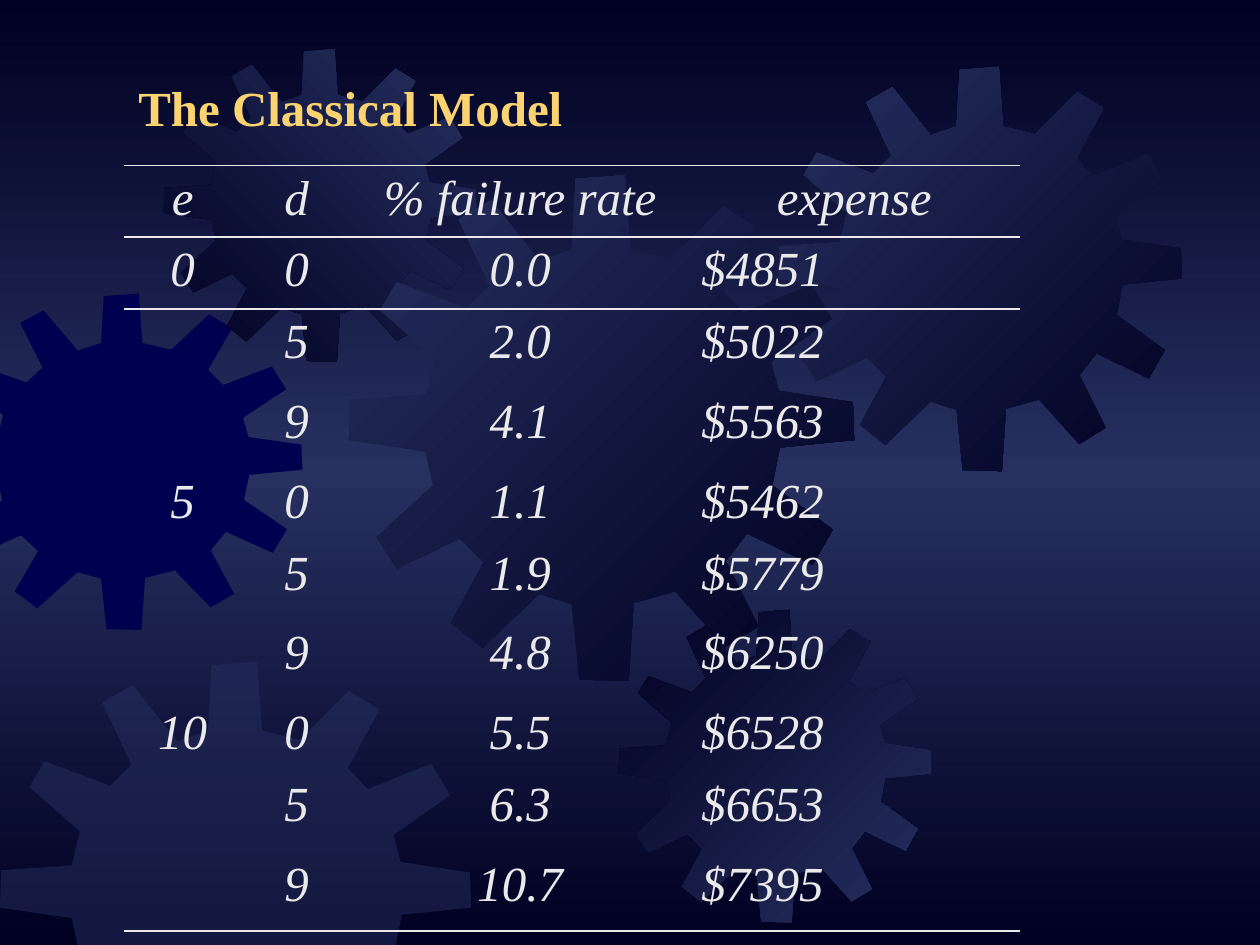
from copy import deepcopy
from lxml.etree import SubElement
from pptx import Presentation
from pptx.dml.color import RGBColor
from pptx.enum.text import PP_ALIGN
from pptx.oxml import parse_xml
from pptx.oxml.ns import nsdecls, qn
from pptx.util import Pt

THEME = {
    "night": "000022",
    "slate": "27305F",
    "navy": "000050",
    "gold": "FBD471",
    "chalk": "EAEAEA",
    "font": "Times New Roman",
    "size": 28,
}
WIDTH, HEIGHT = 720, 540
NO_GRID_STYLE = "{2D5ABB26-0587-4C30-8999-92F81FD0307C}"

GEAR_SPAN = 401
GEAR = [
    (255, 67), (223, 59), (219, 0), (180, 3), (177, 59), (151, 68), (113, 20), (87, 35),
    (112, 88), (94, 106), (38, 85), (25, 107), (68, 145), (61, 174), (1, 178), (0, 210),
    (61, 219), (67, 246), (22, 287), (38, 312), (88, 288), (107, 307), (81, 355), (106, 375),
    (151, 332), (177, 340), (183, 400), (222, 401), (226, 339), (259, 330), (299, 374), (325, 358),
    (299, 306), (316, 284), (368, 309), (384, 281), (336, 246), (342, 216), (401, 210), (400, 180),
    (341, 171), (335, 148), (383, 114), (367, 87), (313, 109), (296, 91), (323, 41), (297, 25),
]


def clip(points, axis, limit, side):
    kept = []
    for start, end in zip(points, points[1:] + points[:1]):
        before, after = side * (start[axis] - limit), side * (end[axis] - limit)
        if before >= 0:
            kept.append(start)
        if before * after < 0:
            share = before / (before - after)
            kept.append(tuple(a + share * (b - a) for a, b in zip(start, end)))
    return kept


def write(para, text, color, **style):
    span = para.add_run()
    span.text = text
    formats = {"name": THEME["font"], "size": Pt(THEME["size"]), **style}
    for name, value in formats.items():
        setattr(span.font, name, value)
    span.font.color.rgb = RGBColor.from_string(THEME[color])


deck = Presentation()
deck.slide_width, deck.slide_height = Pt(WIDTH), Pt(HEIGHT)
page = deck.slides.add_slide(deck.slide_layouts[6])

backdrop = page.background.fill
backdrop.gradient()
backdrop.gradient_angle = 270
stop_list = page.element.xpath(".//a:gsLst")[0]
stop_list.append(deepcopy(stop_list[0]))
for stop, position, color in zip(backdrop.gradient_stops, (0, 0.5, 1), ("night", "slate", "night")):
    stop.position = position
    stop.color.rgb = RGBColor.from_string(THEME[color])

gears = [
    (-33.1, 167.8, 205.9, 192.2, ("navy",), None),
    (93.6, 28.1, 178.6, 178.6, ("night", "slate"), 45),
    (199.4, 100.1, 288.7, 289, ("slate", "night"), 315),
    (0, 378, 269.3, 268.6, ("slate",), 50),
    (353.5, 348.5, 178.6, 178.6, ("night", "slate"), 315),
    (445, 38.2, 230.4, 231, ("slate", "night"), 315),
]
for left, top, width, height, colors, setting in gears:
    outline = [(left + x * width / GEAR_SPAN, top + y * height / GEAR_SPAN) for x, y in GEAR]
    outline = clip(clip(outline, 0, 0, 1), 1, HEIGHT, -1)
    corners = [(Pt(x), Pt(y)) for x, y in outline]
    builder = page.shapes.build_freeform(*corners[0])
    builder.add_line_segments(corners[1:], close=True)
    gear = builder.convert_to_shape()
    gear.shadow.inherit = False
    gear.line.fill.background()
    if len(colors) == 1:
        gear.fill.solid()
        gear.fill.fore_color.rgb = RGBColor.from_string(THEME[colors[0]])
        if setting:
            paint = gear.element.xpath("./p:spPr/a:solidFill/a:srgbClr")[0]
            SubElement(paint, qn("a:alpha")).set("val", str(setting * 1000))
    else:
        gear.fill.gradient()
        gear.fill.gradient_angle = setting
        for stop, position, color in zip(gear.fill.gradient_stops, (0, 1), colors):
            stop.position = position
            stop.color.rgb = RGBColor.from_string(THEME[color])

title = page.shapes.add_textbox(Pt(64.8), Pt(37.4), Pt(385.2), Pt(41))
frame_format = {
    "word_wrap": True,
    "margin_left": Pt(14.2),
    "margin_right": Pt(7.2),
    "margin_top": Pt(7.2),
    "margin_bottom": Pt(0),
}
for name, value in frame_format.items():
    setattr(title.text_frame, name, value)
write(title.text_frame.paragraphs[0], "The Classical Model", "gold", bold=True)

rows = [
    ("e", "d", "% failure rate", "expense"),
    ("0", "0", "0.0", "$4851"),
    ("", "5", "2.0", "$5022"),
    ("", "9", "4.1", "$5563"),
    ("5", "0", "1.1", "$5462"),
    ("", "5", "1.9", "$5779"),
    ("", "9", "4.8", "$6250"),
    ("10", "0", "5.5", "$6528"),
    ("", "5", "6.3", "$6653"),
    ("", "9", "10.7", "$7395"),
]
column_widths = [67.5, 62.8, 192.7, 189.2]
row_heights = [41.1 if row[0] else 45.6 for row in rows]
rules = {0: {"lnT": 0.45, "lnB": 1.08}, 1: {"lnT": 1.08}, len(rows) - 1: {"lnB": 1.08}}

graphic = page.shapes.add_table(
    len(rows), len(column_widths), Pt(70.6), Pt(94.3), Pt(sum(column_widths)), Pt(sum(row_heights))
)
graphic.element.xpath(".//a:tableStyleId")[0].text = NO_GRID_STYLE
table = graphic.table
table.first_row = table.horz_banding = False
for column, width in zip(table.columns, column_widths):
    column.width = Pt(width)

for row_index, (row, height) in enumerate(zip(rows, row_heights)):
    table.rows[row_index].height = Pt(height)
    for column_index, text in enumerate(row):
        cell = table.cell(row_index, column_index)
        cell.fill.background()
        properties = cell._tc.get_or_add_tcPr()
        for order, (edge, weight) in enumerate(rules.get(row_index, {}).items()):
            border = parse_xml(
                f'<a:{edge} {nsdecls("a")} w="{Pt(weight)}"><a:solidFill>'
                f'<a:srgbClr val="{THEME["chalk"]}"/></a:solidFill></a:{edge}>'
            )
            properties.insert(order, border)
        if text:
            para = cell.text_frame.paragraphs[0]
            is_amount = row_index > 0 and column_index == 3
            para.alignment = PP_ALIGN.LEFT if is_amount else PP_ALIGN.CENTER
            write(para, text, "chalk", italic=True)

deck.save("out.pptx")
